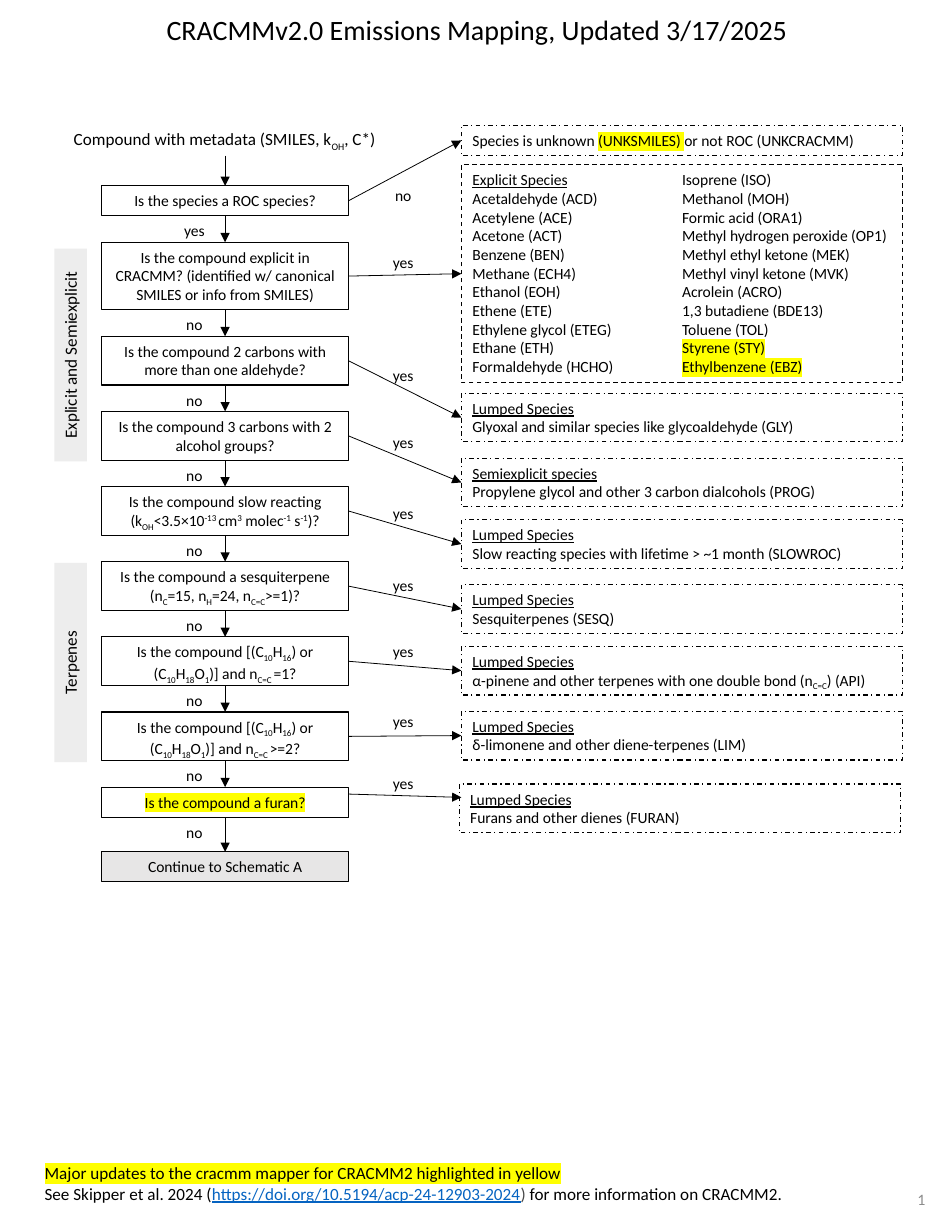
import collections

import pptx
import pptx.dml.color
import pptx.enum.dml
import pptx.enum.shapes
import pptx.enum.text
import pptx.oxml
import pptx.oxml.ns
import pptx.util

COLOURS = {"ink": "000000", "paper": "FFFFFF", "band": "EDEDED", "end": "E7E6E6",
           "mark": "FFFF00", "address": "0563C1", "bracket": "464646", "number": "8C8C8C"}
COLUMNS, ROWS = 85, 110
WIDTH, HEIGHT = pptx.util.Inches(8.5), pptx.util.Inches(11)
LINE, PADDING, GAP = 1.68, 1, 2.35
DASH = pptx.enum.dml.MSO_LINE.DASH
DASH_DOT = pptx.enum.dml.MSO_LINE.DASH_DOT
ALIGN = pptx.enum.text.PP_ALIGN
ANCHOR = pptx.enum.text.MSO_ANCHOR
FIT = pptx.enum.text.MSO_AUTO_SIZE

Box = collections.namedtuple("Box", "left top width height")
SPAN_STYLES = {
    "_": {"baseline": "-25000"},
    "^": {"baseline": "30000"},
    "~": {"underline": True},
    "!": {"mark": True},
    "@": {"underline": True, "colour": "address"},
    "%": {"colour": "bracket"},
}
TERPENE = "Is the compound [(C|_10|H|_16|) or (C|_10|H|_18|O|_1|)] and n|_C=C |"
QUESTIONS = [
    (1, "Is the species a ROC species?", "yes"),
    (3, "Is the compound explicit in CRACMM? (identified w/ canonical SMILES or info from SMILES)", "no"),
    (2, "Is the compound 2 carbons with more than one aldehyde?", "no"),
    (2, "Is the compound 3 carbons with 2 alcohol groups?", "no"),
    (2, "Is the compound slow reacting (k|_OH|<3.5×10|^-13 |cm|^3| molec|^-1| s|^-1|)?", "no"),
    (2, "Is the compound a sesquiterpene (n|_C|=15, n|_H|=24, n|_C=C|>=1)?", "no"),
    (2, TERPENE + "=1?", "no"),
    (2, TERPENE + ">=2?", "no"),
    (1, "|!Is the compound a furan?", "no"),
]
EXPLICIT = ["~Explicit Species", "Acetaldehyde (ACD)", "Acetylene (ACE)", "Acetone (ACT)",
            "Benzene (BEN)", "Methane (ECH4)", "Ethanol (EOH)", "Ethene (ETE)",
            "Ethylene glycol (ETEG)", "Ethane (ETH)", "Formaldehyde (HCHO)",
            "Isoprene (ISO)", "Methanol (MOH)", "Formic acid (ORA1)",
            "Methyl hydrogen peroxide (OP1)", "Methyl ethyl ketone (MEK)",
            "Methyl vinyl ketone (MVK)", "Acrolein (ACRO)", "1,3 butadiene (BDE13)",
            "Toluene (TOL)", "!Styrene (STY)", "!Ethylbenzene (EBZ)"]
LUMPED = "~Lumped Species"
ANSWERS = [
    (11.2, 16.1, ["Species is unknown |!(UNKSMILES) |or not ROC (UNKCRACMM)"]),
    (14.7, 22.1, EXPLICIT),
    (35.1, 32.2, [LUMPED, "Glyoxal and similar species like glycoaldehyde (GLY)"]),
    (40.9, 38.2, ["~Semiexplicit species", "Propylene glycol and other 3 carbon dialcohols (PROG)"]),
    (46.4, 44.5, [LUMPED, "Slow reacting species with lifetime > ~1 month (SLOWROC)"]),
    (52.2, 50.9, [LUMPED, "Sesquiterpenes (SESQ)"]),
    (57.7, 56.8, [LUMPED, "α-pinene and other terpenes with one double bond (n|_C=C|) (API)"]),
    (63.5, 63.1, [LUMPED, "δ-limonene and other diene-terpenes (LIM)"]),
    (70, 68.6, [LUMPED, "Furans and other dienes (FURAN)"]),
]


def across(columns):
    return round(WIDTH * columns / COLUMNS)


def down(rows):
    return round(HEIGHT * rows / ROWS)


def place(box):
    return across(box.left), down(box.top), across(box.width), down(box.height)


def colour_of(name):
    return pptx.dml.color.RGBColor.from_string(COLOURS[name])


def set_all(target, values):
    for name, value in values.items():
        setattr(target, name, value)


def add_span(para, text, size, colour):
    style = SPAN_STYLES.get(text[0], {})
    span = para.add_run()
    span.text = text[1:] if style else text
    set_all(span.font, {"name": "Calibri", "size": pptx.util.Pt(size),
                        "underline": style.get("underline")})
    span.font.color.rgb = colour_of(style.get("colour", colour))
    properties = span.font._element
    if "baseline" in style:
        properties.set("baseline", style["baseline"])
    if "mark" in style:
        properties.find(pptx.oxml.ns.qn("a:solidFill")).addnext(pptx.oxml.parse_xml(
            f'<a:highlight {pptx.oxml.ns.nsdecls("a")}><a:srgbClr val="{COLOURS["mark"]}"/></a:highlight>'))


def write(shape, lines, size=10, align=ALIGN.CENTER, colour="ink", **frame_values):
    frame = shape.text_frame
    set_all(frame, {"word_wrap": True, "vertical_anchor": ANCHOR.TOP,
                    "auto_size": FIT.SHAPE_TO_FIT_TEXT, **frame_values})
    for index, line in enumerate(lines):
        para = frame.add_paragraph() if index else frame.paragraphs[0]
        para.alignment = align
        for text in filter(None, line.split("|")):
            add_span(para, text, size, colour)


def add_label(page, box, lines, **style):
    write(page.shapes.add_textbox(*place(box)), lines, **style)


def add_block(page, box, lines, fill=None, outline=True, dash=None, **style):
    block = page.shapes.add_shape(pptx.enum.shapes.MSO_SHAPE.RECTANGLE, *place(box))
    block.shadow.inherit = False
    if fill:
        block.fill.solid()
        block.fill.fore_color.rgb = colour_of(fill)
    else:
        block.fill.background()
    if outline:
        block.line.color.rgb = colour_of("ink")
        set_all(block.line, {"width": pptx.util.Pt(0.75), "dash_style": dash})
    else:
        block.line.fill.background()
    write(block, lines, **style)
    return block


def add_arrow(page, start, end):
    arrow = page.shapes.add_connector(pptx.enum.shapes.MSO_CONNECTOR.STRAIGHT,
                                      across(start[0]), down(start[1]), across(end[0]), down(end[1]))
    arrow.line.color.rgb = colour_of("ink")
    arrow.line.width = pptx.util.Pt(0.5)
    properties = arrow._element.spPr
    namespace = pptx.oxml.ns.nsdecls("a")
    properties.find(pptx.oxml.ns.qn("a:ln")).append(
        pptx.oxml.parse_xml(f'<a:tailEnd {namespace} type="triangle"/>'))
    properties.append(pptx.oxml.parse_xml(f"<a:effectLst {namespace}/>"))


def add_questions(page, box):
    middle = box.left + box.width / 2
    top, centres = box.top, []
    add_label(page, Box(box.left - 4.1, top - 5.6, box.width + 8.1, 2.9),
              ["Compound with metadata (SMILES, k|_OH|, C*)"], size=11)
    add_arrow(page, (middle, top - 2.7), (middle, top))
    for index, (count, text, reply) in enumerate(QUESTIONS):
        height = PADDING + LINE * count
        gap = 3.1 if index == len(QUESTIONS) - 1 else GAP
        add_block(page, Box(box.left, top, box.width, height), [text])
        bottom = top + height
        add_arrow(page, (middle, bottom), (middle, bottom + gap))
        add_label(page, Box(box.left + 6.2, bottom, 4.1, 2.7), [reply])
        centres.append(top + height / 2)
        top = bottom + gap
    add_block(page, Box(box.left, top, box.width, PADDING + LINE),
              ["Continue to Schematic A"], fill="end")
    return centres


def add_answers(page, box, source, centres):
    for index, (top, label_top, lines) in enumerate(ANSWERS):
        explicit, last = lines is EXPLICIT, index == len(ANSWERS) - 1
        columns = 2 if explicit else 1
        height = PADDING + LINE * len(lines) / columns
        left = box.left - 0.2 if last else box.left
        block = add_block(page, Box(left, top, box.width, height), lines,
                          dash=DASH if explicit else DASH_DOT, align=ALIGN.LEFT)
        if explicit:
            block.text_frame._txBody.bodyPr.set("numCol", str(columns))
        start, end = (70.9, 71.2) if last else (centres[index], top + height / 2)
        add_arrow(page, (source, start), (box.left, end))
        add_label(page, Box(source + 2.5, label_top, 4.8, 2.7), ["yes" if index else "no"])


def add_band(page, box, text):
    left = box.left + (box.width - box.height) / 2
    top = box.top + (box.height - box.width) / 2
    band = add_block(page, Box(left, top, box.height, box.width), [text],
                     fill="band", outline=False, size=11)
    band.rotation = 270


def add_footer(page, box):
    add_label(page, box, ["!Major updates to the cracmm mapper for CRACMM2 highlighted in yellow",
                          "See Skipper et al. 2024 (|@https://doi.org/10.5194/acp-24-12903-2024|%) |"
                          "for more information on CRACMM2."], size=11, align=ALIGN.LEFT)
    add_label(page, Box(box.left + box.width - 19.1, box.top + 0.9, 19.1, 5.8), ["1"],
              size=10.2, align=ALIGN.RIGHT, colour="number",
              vertical_anchor=ANCHOR.MIDDLE, auto_size=FIT.NONE)


def main():
    deck = pptx.Presentation()
    set_all(deck, {"slide_width": WIDTH, "slide_height": HEIGHT})
    page = deck.slides.add_slide(deck.slide_layouts[6])
    page.background.fill.solid()
    page.background.fill.fore_color.rgb = colour_of("paper")
    add_label(page, Box(13.2, 0.6, 58.8, 4),
              ["CRACMMv2.0 Emissions Mapping, Updated 3/17/2025"], size=18)
    questions = Box(9.1, 16.6, 22, 62.3)
    centres = add_questions(page, questions)
    add_answers(page, Box(41.2, 11.2, 39.4, 63.2), questions.left + questions.width, centres)
    add_band(page, Box(4.85, 22.2, 2.9, 19), "Explicit and Semiexplicit")
    add_band(page, Box(4.85, 50.25, 2.9, 17.8), "Terpenes")
    add_footer(page, Box(3, 103.3, 80.6, 4.4))
    deck.save("out.pptx")


if __name__ == "__main__":
    main()
